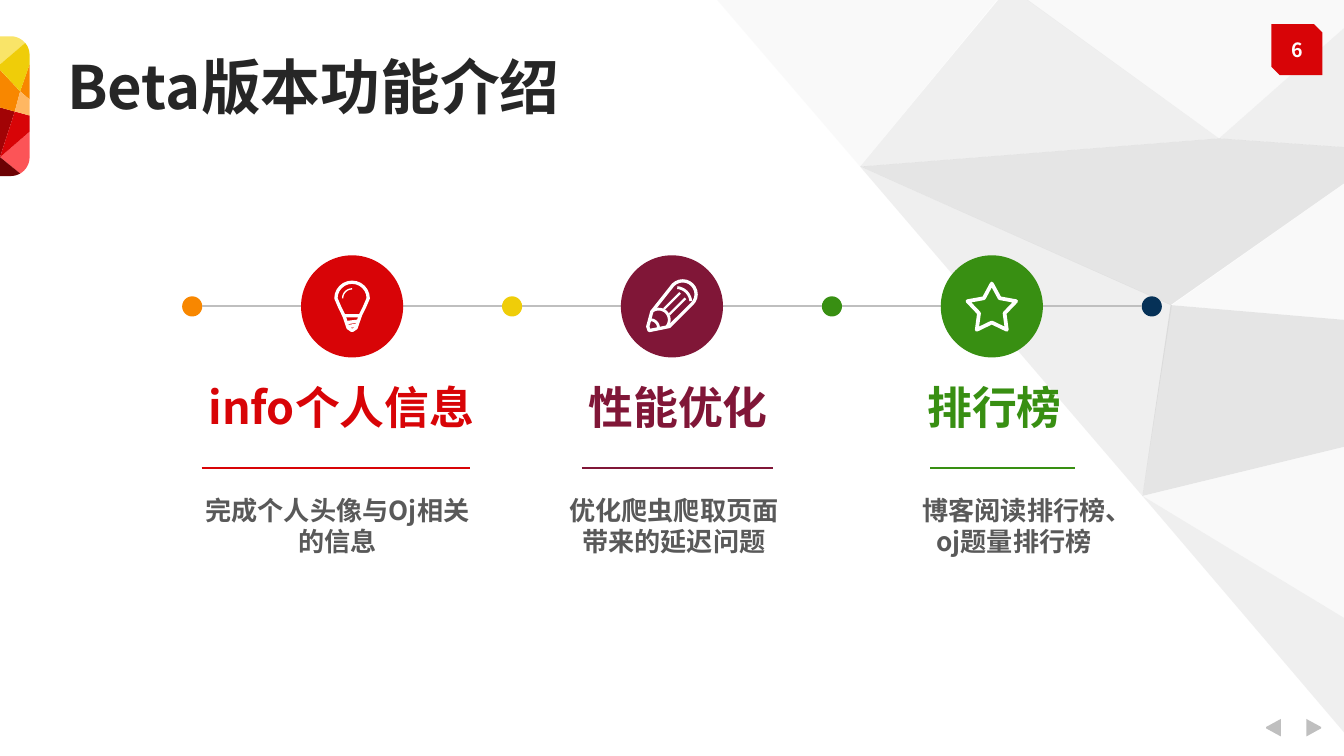
from dataclasses import dataclass
from math import cos, radians, sin

from lxml.etree import SubElement
from pptx import Presentation
from pptx.dml.color import RGBColor
from pptx.enum.shapes import MSO_CONNECTOR, MSO_SHAPE
from pptx.enum.text import MSO_AUTO_SIZE, PP_ALIGN
from pptx.oxml.ns import qn
from pptx.util import Inches, Pt

Point = tuple[float, float]

FONT = "Noto Sans CJK SC"
WHITE = RGBColor(0xFF, 0xFF, 0xFF)
INK = RGBColor(0x26, 0x26, 0x26)
BODY = RGBColor(0x59, 0x59, 0x59)
PALE = RGBColor(0xF2, 0xF2, 0xF2)
LIGHT = RGBColor(0xD9, 0xD9, 0xD9)
GRAY = RGBColor(0xBF, 0xBF, 0xBF)
RED = RGBColor(0xD8, 0x04, 0x07)
PLUM = RGBColor(0x80, 0x16, 0x37)
GREEN = RGBColor(0x38, 0x8F, 0x12)
NAVY = RGBColor(0x06, 0x31, 0x57)
ORANGE = RGBColor(0xF8, 0x87, 0x00)
YELLOW = RGBColor(0xEF, 0xCD, 0x09)
PEACH = RGBColor(0xFF, 0xB7, 0x62)
LEMON = RGBColor(0xF9, 0xE4, 0x68)
CORAL = RGBColor(0xFC, 0x54, 0x57)
DARK_RED = RGBColor(0xA2, 0x03, 0x05)
MAROON = RGBColor(0x6C, 0x02, 0x04)

AXIS_Y = 2.28
FIRST_NODE_X = 1.43
NODE_STEP = 1.19
DOT_SIZE = 0.15
DISC_SIZE = 0.76


@dataclass(frozen=True)
class Facet:
    color: RGBColor
    points: list[Point]


@dataclass(frozen=True)
class Stroke:
    points: list[Point]
    closed: bool = False
    weight: float = 1.75


@dataclass(frozen=True)
class Feature:
    heading: str
    detail: str
    color: RGBColor
    heading_span: Point
    detail_span: Point
    detail_height: float
    rule_span: Point
    icon: list[Stroke]


def arc(x: float, y: float, radius: float, start: float, end: float) -> list[Point]:
    angles = [radians(start + (end - start) * i / 12) for i in range(13)]
    return [(x + radius * cos(a), y + radius * sin(a)) for a in angles]


def star(outer: float, inner: float) -> list[Point]:
    angles = [radians(36 * i - 90) for i in range(10)]
    radii = [outer, inner] * 5
    return [(r * cos(a), 0.02 + r * sin(a)) for r, a in zip(radii, angles)]


BULB = [
    Stroke([(-0.06, 0.07), (-0.09, 0.01), *arc(0, -0.06, 0.12, 180, 360),
            (0.09, 0.01), (0.06, 0.07)], True),
    Stroke([(-0.06, 0.07), (-0.03, 0.16), (0, 0.18), (0.03, 0.16), (0.06, 0.07)]),
    Stroke([(-0.04, 0.12), (0.04, 0.11)]),
    Stroke([(-0.03, 0.15), (0.03, 0.14)]),
    Stroke(arc(0, -0.06, 0.07, 180, 270), weight=0.75),
]
PENCIL = [
    Stroke([(-0.18, 0.15), (-0.15, 0.04), *arc(0.08, -0.09, 0.1, -135, 45),
            (-0.02, 0.15), (-0.17, 0.18)], True),
    Stroke(arc(-0.1, 0.1, 0.08, -120, 40), weight=1.5),
    Stroke(arc(-0.16, 0.16, 0.06, -90, 0), weight=1.5),
    Stroke(arc(0.03, -0.03, 0.11, -85, -5), weight=1.5),
    Stroke([(-0.06, 0.02), (0.06, -0.1)], weight=1.25),
    Stroke([(-0.02, 0.06), (0.1, -0.06)], weight=1.25),
]
STAR = [Stroke(star(0.19, 0.1), True, 2)]

FEATURES = [
    Feature("info个人信息", "完成个人头像与Oj相关的信息", RED,
            (1.35, 3.73), (1.37, 3.65), 0.57, (1.5, 3.5), BULB),
    Feature("性能优化", "优化爬虫爬取页面带来的延迟问题", PLUM,
            (4.24, 5.85), (4.1, 5.93), 0.81, (4.33, 5.75), PENCIL),
    Feature("排行榜", "博客阅读排行榜、oj题量排行榜", GREEN,
            (6.76, 8.04), (6.67, 8.42), 0.57, (6.92, 8), STAR),
]
DOT_COLORS = [ORANGE, YELLOW, GREEN, NAVY]

BACKDROP = [
    Facet(PALE, [(9.07, 1.03), (7.5, -0.1), (10.35, -0.1)]),
    Facet(LIGHT, [(9.07, 1.03), (10.35, -0.1), (10.35, 1.12)]),
    Facet(LIGHT, [(7.51, -0.1), (9.07, 1.03), (6.4, 1.24)]),
    Facet(GRAY, [(6.4, 1.24), (9.07, 1.03), (10.35, 1.12), (8.71, 2.27)]),
    Facet(LIGHT, [(6.4, 1.24), (8.72, 2.27), (8.5, 3.69)]),
    Facet(PALE, [(8.72, 2.27), (10.35, 1.12), (10.35, 2.41)]),
    Facet(GRAY, [(8.71, 2.27), (10.35, 2.41), (10.35, 3.24), (8.5, 3.69)]),
    Facet(PALE, [(8.5, 3.69), (10.35, 3.24), (10.35, 4.81)]),
    Facet(LIGHT, [(8.5, 3.69), (10.35, 4.81), (10.35, 5.86)]),
    Facet(PALE, [(7.5, -0.1), (6.4, 1.24), (5.25, -0.1)]),
]
SIDE_TAB = [
    Facet(CORAL, [(0.22, 0.98), (0, 1.17), *arc(0.08, 1.17, 0.14, 60, 0)]),
    Facet(DARK_RED, [(0.11, 0.83), (0, 0.8), (0, 1.17)]),
    Facet(RED, [(0.11, 0.83), (0, 1.17), (0.22, 0.98), (0.22, 0.86)]),
    Facet(MAROON, [(0, 1.17), (0, 1.31), *arc(0.08, 1.17, 0.14, 90, 60)]),
    Facet(LEMON, [(0, 0.48), (0, 0.27), *arc(0.08, 0.41, 0.14, -90, -40)]),
    Facet(ORANGE, [(0.22, 0.48), (0.15, 0.68), (0.22, 0.74)]),
    Facet(ORANGE, [(0.11, 0.83), (0.15, 0.68), (0, 0.52), (0, 0.8)]),
    Facet(YELLOW, [(0, 0.52), (0.15, 0.68), (0.22, 0.48),
                   *arc(0.08, 0.41, 0.14, 0, -40), (0, 0.48)]),
    Facet(PEACH, [(0.22, 0.74), (0.15, 0.68), (0.11, 0.83), (0.22, 0.86)]),
]
PAGE_ARROWS = [
    Facet(GRAY, [(9.72, 5.35), (9.83, 5.41), (9.83, 5.42), (9.72, 5.48)]),
    Facet(GRAY, [(9.53, 5.35), (9.42, 5.41), (9.42, 5.42), (9.53, 5.48)]),
]


def add_outline(page, points: list[Point], closed: bool = True):
    corners = [(Inches(x), Inches(y)) for x, y in points]
    builder = page.shapes.build_freeform(*corners[0])
    builder.add_line_segments(corners[1:], close=closed)
    shape = builder.convert_to_shape()
    shape.shadow.inherit = False
    return shape


def add_facet(page, facet: Facet, opacity: int = 100) -> None:
    shape = add_outline(page, facet.points)
    shape.fill.solid()
    shape.fill.fore_color.rgb = facet.color
    shape.line.fill.background()
    if opacity < 100:
        color = shape._element.spPr.find(qn("a:solidFill"))[0]
        SubElement(color, qn("a:alpha"), val=str(opacity * 1000))


def add_stroke(page, stroke: Stroke, x: float, y: float) -> None:
    points = [(x + dx, y + dy) for dx, dy in stroke.points]
    shape = add_outline(page, points, stroke.closed)
    shape.fill.background()
    shape.line.color.rgb = WHITE
    shape.line.width = Pt(stroke.weight)


def add_preset(page, kind: MSO_SHAPE, x: float, y: float, size: float, color: RGBColor) -> None:
    shape = page.shapes.add_shape(
        kind, Inches(x - size / 2), Inches(y - size / 2), Inches(size), Inches(size))
    shape.shadow.inherit = False
    shape.fill.solid()
    shape.fill.fore_color.rgb = color
    shape.line.fill.background()


def add_rule(page, start: float, end: float, y: float, color: RGBColor) -> None:
    rule = page.shapes.add_connector(
        MSO_CONNECTOR.STRAIGHT, Inches(start), Inches(y), Inches(end), Inches(y))
    rule.line.color.rgb = color
    rule.line.width = Pt(1)
    SubElement(rule._element.spPr, qn("a:effectLst"))


def add_text(page, text: str, *, left: float, top: float, width: float, height: float,
             size: float, color: RGBColor, align=PP_ALIGN.CENTER, wrap: bool = True,
             grow: bool = True, inset: bool = True, line_spacing: float = 1.0) -> None:
    box = page.shapes.add_textbox(Inches(left), Inches(top), Inches(width), Inches(height))
    frame = box.text_frame
    frame.word_wrap = wrap
    if grow:
        frame.auto_size = MSO_AUTO_SIZE.SHAPE_TO_FIT_TEXT
    if not inset:
        frame.margin_left = frame.margin_right = frame.margin_top = frame.margin_bottom = 0
    para = frame.paragraphs[0]
    para.alignment = align
    para.line_spacing = line_spacing
    span = para.add_run()
    span.text = text
    span.font.size = Pt(size)
    span.font.bold = True
    span.font.color.rgb = color
    span.font.name = FONT
    SubElement(span._r.get_or_add_rPr(), qn("a:ea"), typeface=FONT)


def add_feature(page, feature: Feature, x: float) -> None:
    add_preset(page, MSO_SHAPE.OVAL, x, AXIS_Y, DISC_SIZE, feature.color)
    for stroke in feature.icon:
        add_stroke(page, stroke, x, AXIS_Y)
    for text, (left, right), top, height, size, color in (
        (feature.heading, feature.heading_span, 2.78, 0.5, 24, feature.color),
        (feature.detail, feature.detail_span, 3.63, feature.detail_height, 14, BODY),
    ):
        add_text(page, text, left=left, top=top, width=right - left,
                 height=height, size=size, color=color)
    add_rule(page, *feature.rule_span, 3.48, feature.color)


def main() -> None:
    deck = Presentation()
    deck.slide_width = Inches(10)
    deck.slide_height = deck.slide_width * 9 // 16
    page = deck.slides.add_slide(deck.slide_layouts[6])
    for facet in BACKDROP:
        add_facet(page, facet, opacity=40)
    for facet in PAGE_ARROWS + SIDE_TAB:
        add_facet(page, facet)
    add_preset(page, MSO_SHAPE.SNIP_2_DIAG_RECTANGLE, 9.65, 0.37, 0.38, RED)
    add_text(page, "6", left=9.46, top=0.23, width=0.38, height=0.28,
             size=10.5, color=WHITE, wrap=False)
    add_text(page, "Beta版本功能介绍", left=0.5, top=0.43, width=5.25, height=0.44, size=32,
             color=INK, align=PP_ALIGN.LEFT, grow=False, inset=False, line_spacing=0.9)
    for index, color in enumerate(DOT_COLORS):
        x = FIRST_NODE_X + 2 * index * NODE_STEP
        add_preset(page, MSO_SHAPE.OVAL, x, AXIS_Y, DOT_SIZE, color)
    for index, feature in enumerate(FEATURES):
        x = FIRST_NODE_X + (2 * index + 1) * NODE_STEP
        add_rule(page, x - NODE_STEP + DOT_SIZE / 2, x - DISC_SIZE / 2, AXIS_Y, GRAY)
        add_rule(page, x + DISC_SIZE / 2, x + NODE_STEP - DOT_SIZE / 2, AXIS_Y, GRAY)
        add_feature(page, feature, x)
    deck.save("out.pptx")


if __name__ == "__main__":
    main()
